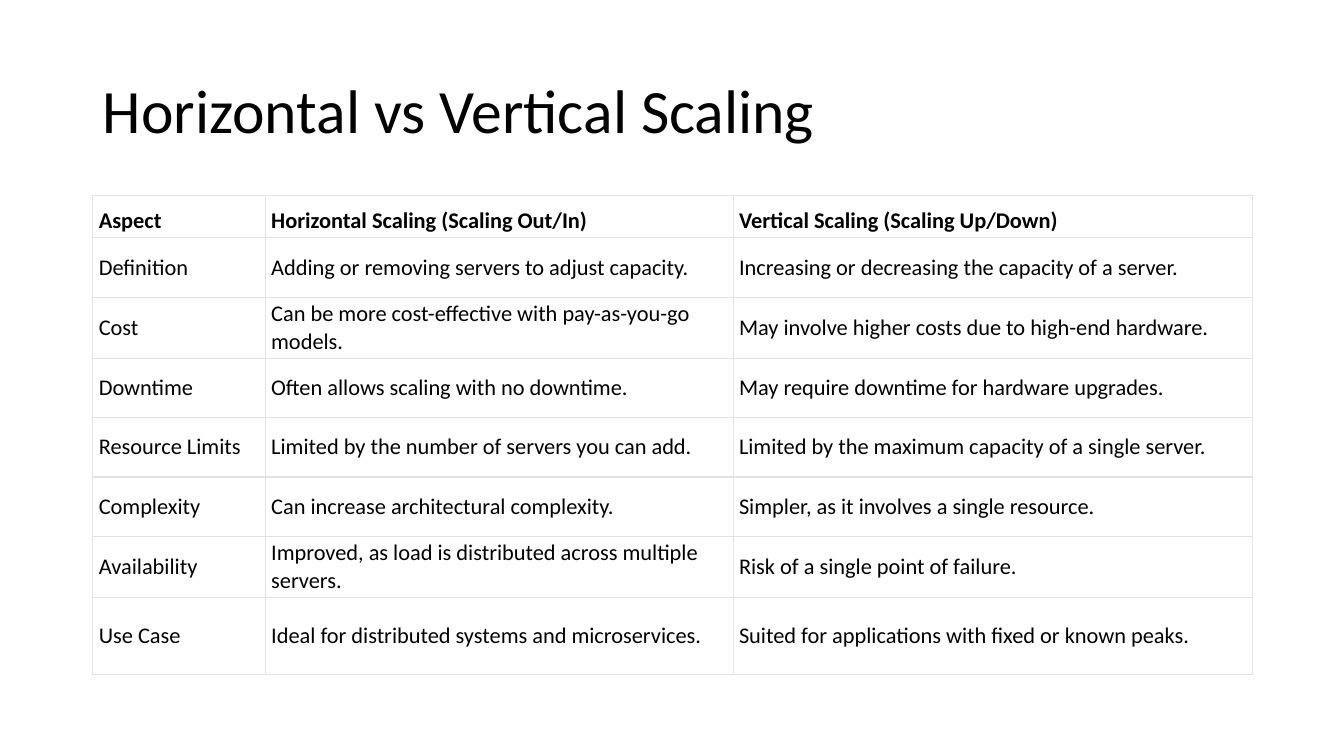
"""Build a slide that compares horizontal and vertical scaling in a table."""
from lxml import etree
from pptx import Presentation
from pptx.dml.color import RGBColor
from pptx.enum.text import MSO_ANCHOR, PP_ALIGN
from pptx.oxml.ns import qn
from pptx.util import Inches, Pt

LEFT = PP_ALIGN.LEFT
MIDDLE, BOTTOM = MSO_ANCHOR.MIDDLE, MSO_ANCHOR.BOTTOM
FONT, BLACK, WHITE, GRID = "Calibri", "000000", "FFFFFF", "E3E3E3"

COL_WIDTHS = [1.71, 4.64, 5.15]
ROW_HEIGHTS = [0.42] + [0.59] * 6 + [0.77]
ROWS = [
    ("Aspect", "Horizontal Scaling (Scaling Out/In)", "Vertical Scaling (Scaling Up/Down)"),
    ("Definition", "Adding or removing servers to adjust capacity.",
     "Increasing or decreasing the capacity of a server."),
    ("Cost", "Can be more cost-effective with pay-as-you-go models.",
     "May involve higher costs due to high-end hardware."),
    ("Downtime", "Often allows scaling with no downtime.",
     "May require downtime for hardware upgrades."),
    ("Resource Limits", "Limited by the number of servers you can add.",
     "Limited by the maximum capacity of a single server."),
    ("Complexity", "Can increase architectural complexity.",
     "Simpler, as it involves a single resource."),
    ("Availability", "Improved, as load is distributed across multiple servers.",
     "Risk of a single point of failure."),
    ("Use Case", "Ideal for distributed systems and microservices.",
     "Suited for applications with fixed or known peaks."),
]


def style_text(p, size, bold=False):
    p.alignment = LEFT
    for r in p.runs:
        r.font.name = FONT
        r.font.size = Pt(size)
        r.font.bold = bold
        r.font.color.rgb = RGBColor.from_string(BLACK)


def add_border(cell, side, width):
    ln = etree.SubElement(cell._tc.get_or_add_tcPr(), qn(f"a:ln{side}"), w=str(Pt(width)))
    fill = etree.SubElement(ln, qn("a:solidFill"))
    etree.SubElement(fill, qn("a:srgbClr"), val=GRID)


prs = Presentation()
prs.slide_width, prs.slide_height = Inches(13.33), Inches(7.5)
s = prs.slides.add_slide(prs.slide_layouts[5])

title = s.shapes.title
title.left, title.top = Inches(0.92), Inches(0.4)
title.width, title.height = Inches(11.5), Inches(1.45)
tf = title.text_frame
tf.text = "Horizontal vs Vertical Scaling"
tf.vertical_anchor = MIDDLE
tf.paragraphs[0].line_spacing = 0.9
style_text(tf.paragraphs[0], 44)

table = s.shapes.add_table(len(ROWS), len(COL_WIDTHS), Inches(0.92), Inches(1.94),
                           Inches(sum(COL_WIDTHS)), Inches(sum(ROW_HEIGHTS))).table
table.horz_banding = False
for col, width in zip(table.columns, COL_WIDTHS):
    col.width = Inches(width)
for row, height in zip(table.rows, ROW_HEIGHTS):
    row.height = Inches(height)

last = len(ROWS) - 1
for i, texts in enumerate(ROWS):
    for j, text in enumerate(texts):
        cell = table.cell(i, j)
        cell.text = text
        style_text(cell.text_frame.paragraphs[0], 16, bold=i == 0)
        cell.vertical_anchor = BOTTOM if i == 0 else MIDDLE
        cell.margin_left = cell.margin_right = Inches(0.06)
        cell.margin_top = cell.margin_bottom = Inches(0.03)
        add_border(cell, "L", 0.75)
        add_border(cell, "R", 0.75)
        add_border(cell, "T", 0.75 if i == 0 else 1)
        add_border(cell, "B", 0.75 if i == last else 1)
        cell.fill.solid()
        cell.fill.fore_color.rgb = RGBColor.from_string(WHITE)

prs.save("out.pptx")
